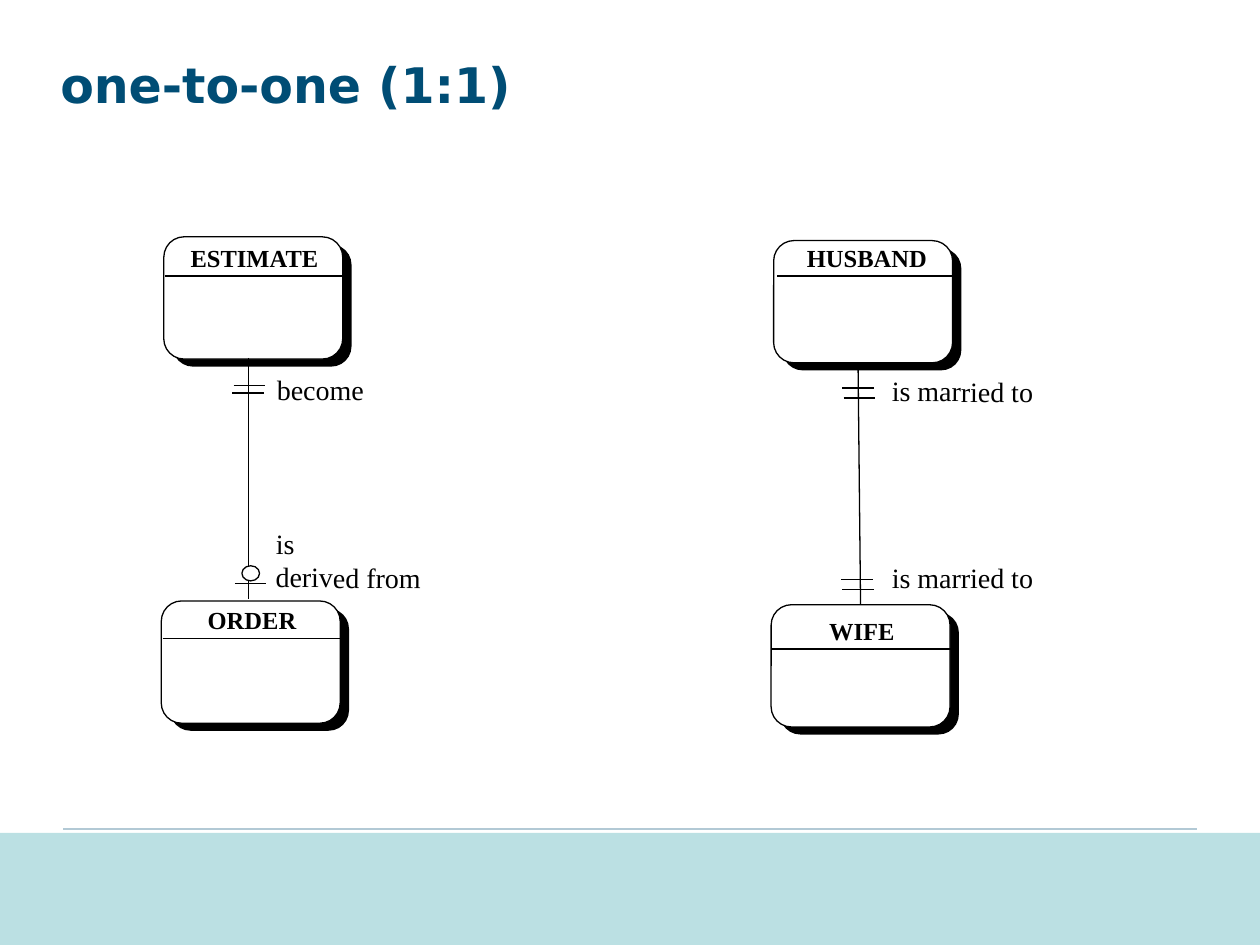
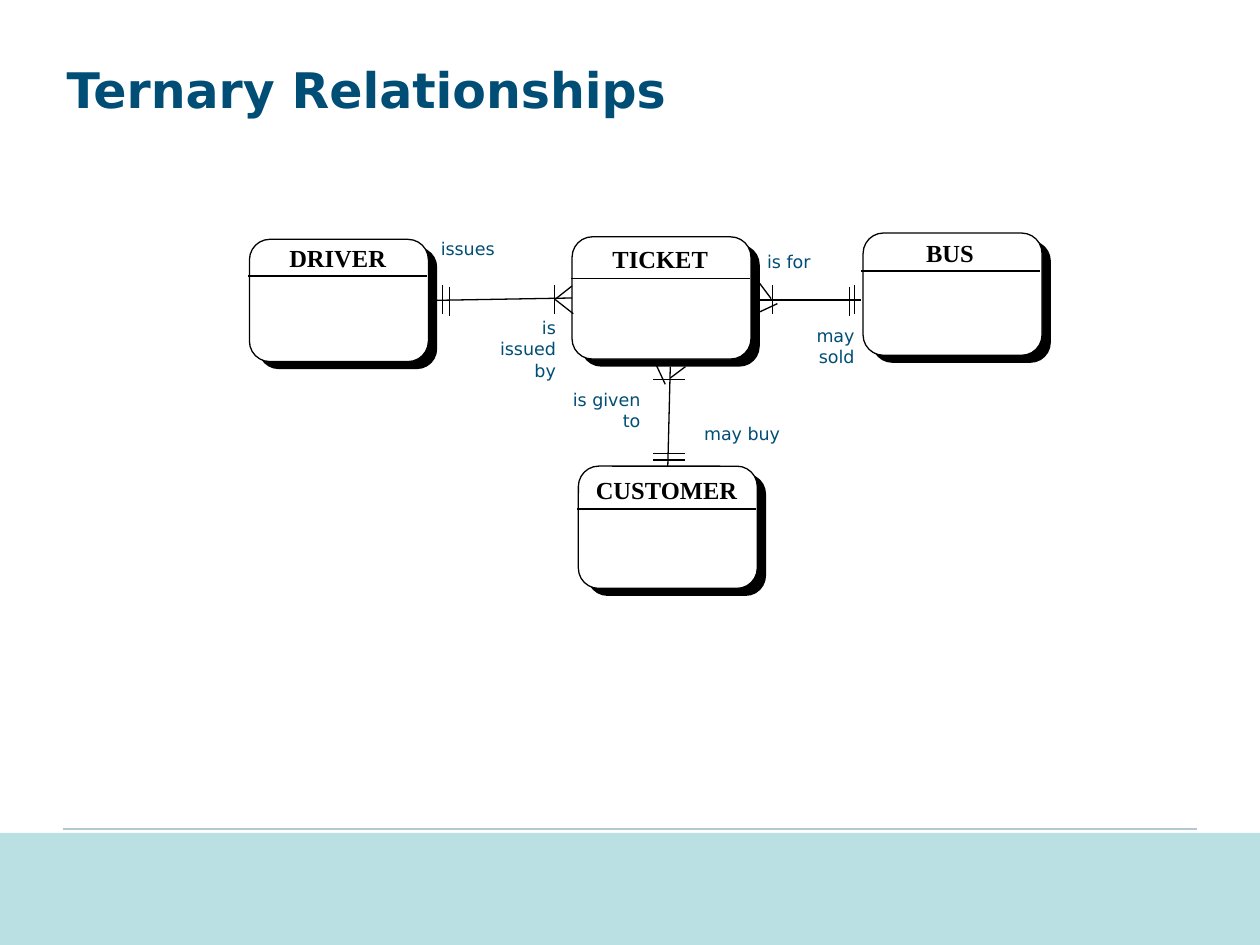
import pptx
import pptx.util
import pptx.dml.color
import pptx.enum.shapes
import pptx.enum.text
import pptx.oxml.ns
import lxml.etree

Inches = pptx.util.Inches
Pt = pptx.util.Pt
RGB = pptx.dml.color.RGBColor
SHAPE = pptx.enum.shapes.MSO_SHAPE
ALIGN = pptx.enum.text.PP_ALIGN

NAVY = RGB(0x00, 0x4D, 0x75)
BLACK = RGB(0x00, 0x00, 0x00)
WHITE = RGB(0xFF, 0xFF, 0xFF)
RULE = RGB(0xB2, 0xC9, 0xD5)
BAND = RGB(0xBB, 0xE0, 0xE3)
SANS = "DejaVu Sans"
SERIF = "Times New Roman"

WIDE, TALL = 1.42, 0.97      # entity box
DROP = (0.07, 0.06)          # offset of its shadow
LABEL = (1.52, 0.36)         # entity name box
TICK = 0.25                  # length of a cardinality bar
TOP, LEFT, BOTTOM, RIGHT = range(4)

# entities: name, box left, box top, rule left, rule top, name top
# links: start, end, joined start, joined end (entity, side)
# flat, upright: centres of the cardinality bars
# notes: text, left, top, width, height, alignment
SLIDES = [
    {
        "title": ("one-to-one (1:1)", 0.38, 0.38, 1.17),
        "entities": [
            ("ESTIMATE", 1.30, 1.88, 1.31, 2.19, 1.88),
            ("ORDER", 1.28, 4.77, 1.29, 5.07, 4.75),
            ("HUSBAND", 6.14, 1.91, 6.17, 2.19, 1.88),
            ("WIFE", 6.12, 4.80, 6.13, 5.15, 4.84),
        ],
        "links": [
            ((1.97, 2.84), (1.97, 4.75), None, None),
            ((6.81, 2.88), (6.81, 4.79), None, ("WIFE", TOP)),
        ],
        "circles": [(1.99, 4.55)],
        "flat": [
            (1.98, 3.06), (1.97, 3.12), (1.99, 4.63),
            (6.81, 3.08), (6.82, 3.16), (6.80, 4.60), (6.81, 4.68),
        ],
        "upright": [],
        "feet": [],
        "note": (SERIF, 16, BLACK, 0.3),
        "notes": [
            ("become", 2.10, 2.91, 1.48, 0.37, ALIGN.LEFT),
            ("is\nderived from", 2.09, 4.13, 1.43, 0.64, ALIGN.LEFT),
            ("is married to", 6.98, 2.92, 1.43, 0.37, ALIGN.LEFT),
            ("is married to", 6.98, 4.40, 1.43, 0.37, ALIGN.LEFT),
        ],
    },
    {
        "title": ("Ternary Relationships", 0.43, 0.42, 0.79),
        "entities": [
            ("CUSTOMER", 4.59, 3.70, 4.58, 4.04, 3.72),
            ("BUS", 6.85, 1.85, 6.83, 2.15, 1.84),
            ("TICKET", 4.54, 1.88, 4.53, 2.21, 1.89),
            ("DRIVER", 1.98, 1.90, 1.97, 2.19, 1.88),
        ],
        "links": [
            ((3.43, 2.38), (4.54, 2.38), ("DRIVER", RIGHT), ("TICKET", LEFT)),
            ((6.03, 2.38), (6.83, 2.38), None, None),
            ((5.32, 2.91), (5.32, 3.71), None, ("CUSTOMER", TOP)),
        ],
        "circles": [],
        "flat": [(5.31, 3.01), (5.31, 3.60), (5.31, 3.65)],
        "upright": [
            (3.51, 2.38), (3.57, 2.39), (4.40, 2.38),
            (6.13, 2.38), (6.74, 2.39), (6.78, 2.38),
        ],
        "feet": [
            ((4.40, 2.38), (4.54, 2.27)), ((4.41, 2.38), (4.55, 2.49)),
            ((6.02, 2.48), (6.17, 2.41)), ((6.12, 2.37), (6.03, 2.25)),
            ((5.21, 2.90), (5.28, 3.05)), ((5.32, 3.00), (5.44, 2.91)),
        ],
        "note": (SANS, 10, NAVY, 0),
        "notes": [
            ("issues", 3.40, 1.84, 0.76, 0.27, ALIGN.LEFT),
            ("is issued by", 3.75, 2.47, 0.76, 0.61, ALIGN.RIGHT),
            ("is for", 5.99, 1.94, 0.76, 0.27, ALIGN.LEFT),
            ("may sold", 6.12, 2.53, 0.76, 0.44, ALIGN.RIGHT),
            ("is given to", 4.42, 3.04, 0.76, 0.44, ALIGN.RIGHT),
            ("may buy", 5.49, 3.31, 0.94, 0.27, ALIGN.LEFT),
        ],
    },
]


def write(slide, text, box, font, size, color, bold=False, align=ALIGN.LEFT):
    shape = slide.shapes.add_textbox(*map(Inches, box))
    frame = shape.text_frame
    frame.word_wrap = True
    frame.text = text
    for para in frame.paragraphs:
        para.alignment = align
        for run in para.runs:
            run.font.name = font
            run.font.size = Pt(size)
            run.font.bold = bold
            run.font.color.rgb = color
    return shape


def draw(slide, kind, box, fill, line=None):
    shape = slide.shapes.add_shape(kind, *map(Inches, box))
    shape.shadow.inherit = False
    shape.fill.solid()
    shape.fill.fore_color.rgb = fill
    if line is None:
        shape.line.fill.background()
    else:
        shape.line.color.rgb = line
        shape.line.width = Pt(0.75)
    return shape


def stroke(slide, start, end, color=BLACK, width=0.75):
    line = slide.shapes.add_connector(
        pptx.enum.shapes.MSO_CONNECTOR.STRAIGHT, *map(Inches, start + end))
    line.line.color.rgb = color
    line.line.width = Pt(width)
    lxml.etree.SubElement(line._element.spPr, pptx.oxml.ns.qn("a:effectLst"))
    return line


def entity(slide, name, x, y, rule_x, rule_y, name_y):
    kind = SHAPE.FLOWCHART_ALTERNATE_PROCESS
    draw(slide, kind, (x + DROP[0], y + DROP[1], WIDE, TALL), BLACK)
    box = draw(slide, kind, (x, y, WIDE, TALL), WHITE, BLACK)
    stroke(slide, (rule_x, rule_y), (rule_x + WIDE, rule_y))
    name_x = rule_x + (WIDE - LABEL[0]) / 2
    write(slide, name, (name_x, name_y) + LABEL, SERIF, 14, BLACK, True,
          ALIGN.CENTER)
    return box


def frame(slide, text, x, y, high):
    """Add the title, rule and band that every slide has."""
    stroke(slide, (0.5, 6.58), (9.5, 6.58), RULE, 1.25)
    write(slide, text, (x, y, 9.08, high), SANS, 28, NAVY, True)
    draw(slide, SHAPE.RECTANGLE, (0, 6.61, 10, 0.89), BAND)


def build(slide, data):
    frame(slide, *data["title"])
    boxes = {row[0]: entity(slide, *row) for row in data["entities"]}
    for start, end, first, last in data["links"]:
        link = stroke(slide, start, end)
        if first:
            link.begin_connect(boxes[first[0]], first[1])
        if last:
            link.end_connect(boxes[last[0]], last[1])
    for x, y in data["circles"]:
        draw(slide, SHAPE.OVAL, (x - 0.07, y - 0.06, 0.14, 0.12), WHITE, BLACK)
    half = TICK / 2
    for x, y in data["flat"]:
        stroke(slide, (x - half, y), (x + half, y))
    for x, y in data["upright"]:
        stroke(slide, (x, y - half + 0.01), (x, y + half - 0.01))
    for start, end in data["feet"]:
        stroke(slide, start, end)
    font, size, color, turn = data["note"]
    for text, x, y, wide, high, align in data["notes"]:
        note = write(slide, text, (x, y, wide, high), font, size, color,
                     align=align)
        note.rotation = turn


def main():
    deck = pptx.Presentation()
    deck.slide_width, deck.slide_height = Inches(10), Inches(7.5)
    for data in SLIDES:
        build(deck.slides.add_slide(deck.slide_layouts[6]), data)
    deck.save("out.pptx")


if __name__ == "__main__":
    main()
